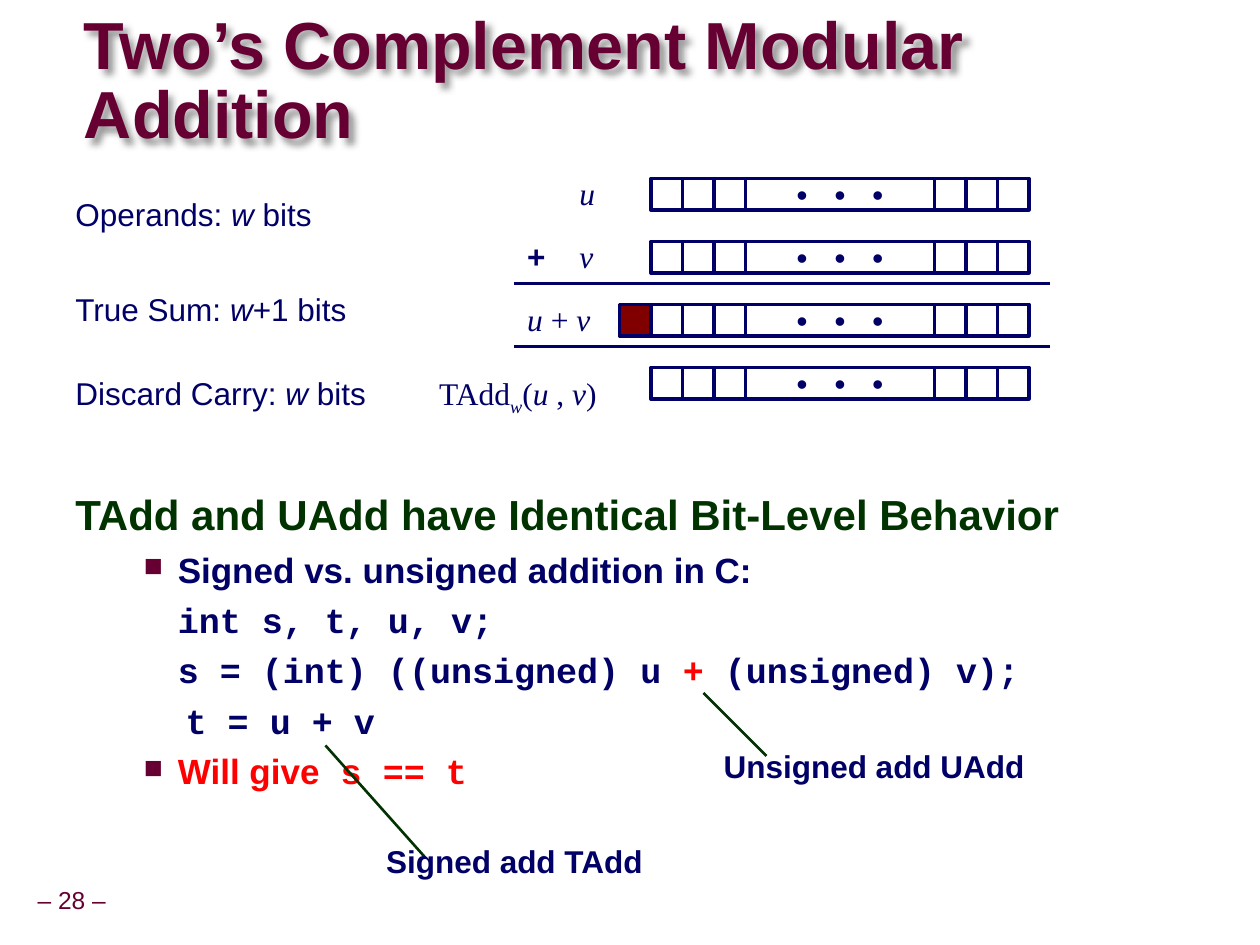
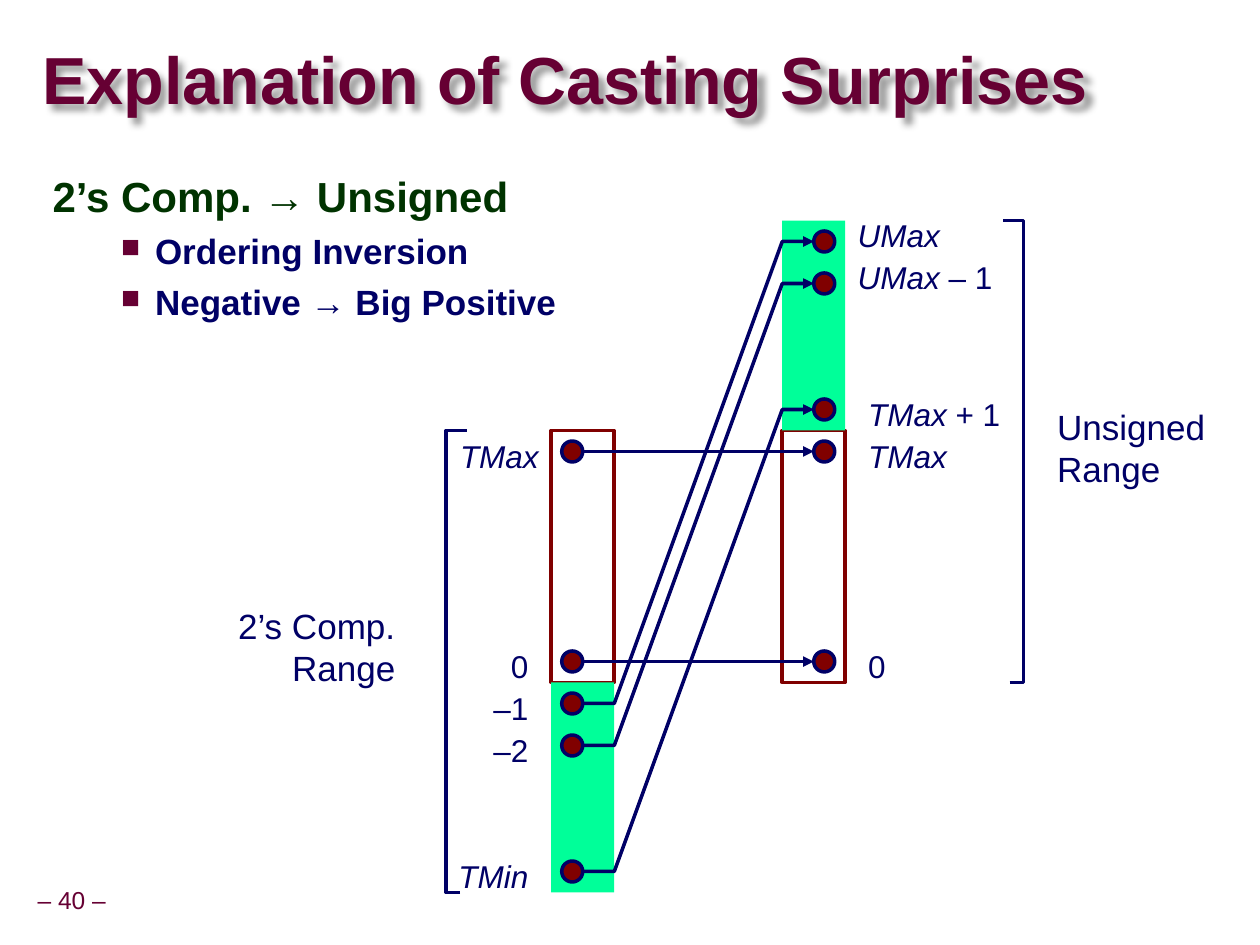
from lxml.etree import SubElement
from pptx import Presentation
from pptx.dml.color import RGBColor
from pptx.enum.shapes import MSO_CONNECTOR as Link, MSO_SHAPE as Shape
from pptx.enum.text import MSO_ANCHOR as Anchor, MSO_AUTO_SIZE as AutoSize, PP_ALIGN as Align
from pptx.oxml.ns import qn
from pptx.util import Pt

COLORS = {
    "maroon": "660033", "green": "003300", "navy": "000066", "red": "FF0000",
    "carry": "800000", "mint": "00FF99", "white": "FFFFFF", "black": "000000",
}
SANS, MONO, SERIF = "Arial", "Courier New", "Times New Roman"

ADDITION_TITLE = ("Two’s Complement Modular Addition", (48, 25.5, 588, 44))
ADDITION_BODY = (36, 278, 624, 176)
ADDITION_HEADING = "TAdd and UAdd have Identical Bit-Level Behavior"
ADDITION_LINES = [
    ("bullet", [("Signed vs. unsigned addition in C:", SANS, "navy")]),
    ("code", [("int s, t, u, v;", MONO, "navy")]),
    ("code", [("s = (int) ((unsigned) u ", MONO, "navy"), ("+", MONO, "red"),
              (" (unsigned) v);", MONO, "navy")]),
    ("hanging", [("  t = u + v", MONO, "navy")]),
    ("bullet", [("Will give", SANS, "red"), (" s == t", MONO, "red")]),
]
BIT_ROW_TOPS = [102, 138, 174, 210]
SUM_ROW = 2
RULE_TOPS = [162, 198]
STEP_LABELS = [
    ("Operands: _w_ bits", (36, 108, 150, 29)),
    ("True Sum: _w_+1 bits", (36, 162, 170, 29)),
    ("Discard Carry: _w_ bits", (36, 210, 192, 29)),
]
OPERAND_LABELS = [
    ("_u_", (324, 96, 24, 29), Align.LEFT),
    ("_v_", (324, 132, 22, 29), Align.LEFT),
    ("_u _+ _v_", (284, 168, 60.5, 29), Align.RIGHT),
]
CALLOUTS = [
    ("Unsigned add UAdd", (402, 426, 195, 27), (402, 396), (438, 432)),
    ("Signed add TAdd", (212.5, 480, 163, 27), (186, 426), (243, 490)),
]

CASTING_TITLE = ("Explanation of Casting Surprises", (24, 25.5, 626, 45))
CASTING_BODY = (23, 96, 328, 135)
CASTING_HEADING = "2’s Comp. → Unsigned"
CASTING_LINES = [
    ("bullet", [("Ordering Inversion", SANS, "navy")]),
    ("bullet", [("Negative → Big Positive", SANS, "navy")]),
]
SIGNED_LEFT, UNSIGNED_LEFT, COLUMN_WIDTH = 315, 447, 36
SIGNED_DOT, UNSIGNED_DOT, DOT_RADIUS = 327, 471, 6
SIGNED_VALUES = [
    ("_TMax_", 258, 315), ("0", 378, 309), ("–1", 402, 309),
    ("–2", 426, 309), ("_TMin_", 498, 309),
]
UNSIGNED_VALUES = [
    ("_UMax_", 138, 483, 18), ("_UMax_ – 1", 162, 483, 18),
    ("_TMax_ + 1", 234, 489, 12), ("_TMax_", 258, 489, 12), ("0", 378, 489, 12),
]
CASTS = [(258, 258), (378, 378), (402, 138), (426, 162), (498, 234)]
BRACKETS = [
    [(263, 510), (255, 510), (255, 246), (267, 246)],
    [(577, 390), (585, 390), (585, 126), (573, 126)],
]
RANGE_LABELS = [
    (["2’s Comp.", "Range"], (129, 342, 104, 55), Align.RIGHT),
    (["Unsigned", "Range"], (597, 228, 99, 55), Align.LEFT),
]


def rgb(name):
    return RGBColor.from_string(COLORS[name])


def points(values):
    return [Pt(value) for value in values]


def style(span, size, color, font=SANS, bold=False, italic=False):
    span.font.name = font
    span.font.size = Pt(size)
    span.font.bold = bold
    span.font.italic = italic
    span.font.color.rgb = rgb(color)


def add_span(para, text, *look, **extras):
    span = para.add_run()
    span.text = text
    style(span, *look, **extras)


def add_label(page, lines, area, size=18, color="navy", font=SANS, align=Align.LEFT,
              bold=False, wrap=False, spacing=None):
    box = page.shapes.add_textbox(*points(area))
    frame = box.text_frame
    frame.word_wrap = wrap
    for number, line in enumerate(lines):
        para = frame.add_paragraph() if number else frame.paragraphs[0]
        para.alignment = align
        para.line_spacing = spacing
        for index, text in enumerate(line.split("_")):
            if text:
                add_span(para, text, size, color, font, bold, italic=index % 2 == 1)
    return box


def add_block(page, kind, area, fill, line="navy"):
    block = page.shapes.add_shape(kind, *points(area))
    block.shadow.inherit = False
    block.fill.solid()
    block.fill.fore_color.rgb = rgb(fill)
    if line:
        block.line.color.rgb = rgb(line)
        block.line.width = Pt(2)
    else:
        block.line.fill.background()
    return block


def add_arrowhead(shape):
    SubElement(shape.line._get_or_add_ln(), qn("a:tailEnd"), type="triangle")


def add_line(page, start, end, color="navy", width=2):
    line = page.shapes.add_connector(Link.STRAIGHT, *points(start + end))
    line.line.color.rgb = rgb(color)
    line.line.width = Pt(width)
    SubElement(line._element.spPr, qn("a:effectLst"))
    return line


def add_path(page, corners):
    builder = page.shapes.build_freeform(*corners[0], scale=Pt(1))
    builder.add_line_segments(corners[1:], close=False)
    outline = builder.convert_to_shape()
    outline.shadow.inherit = False
    outline.fill.background()
    outline.line.color.rgb = rgb("navy")
    outline.line.width = Pt(2)
    return outline


def add_page(deck, title, number):
    page = deck.slides.add_slide(deck.slide_layouts[5])
    text, area = title
    heading = page.shapes.title
    heading.left, heading.top, heading.width, heading.height = points(area)
    frame = heading.text_frame
    frame.text = text
    frame.auto_size = AutoSize.NONE
    frame.word_wrap = True
    frame.vertical_anchor = Anchor.MIDDLE
    frame.margin_left = frame.margin_right = frame.margin_top = frame.margin_bottom = 0
    para = frame.paragraphs[0]
    para.alignment = Align.LEFT
    para.line_spacing = 0.87
    style(para.runs[0], 38, "maroon", bold=True)
    effects = SubElement(heading._element.spPr, qn("a:effectLst"))
    shadow = SubElement(effects, qn("a:outerShdw"), blurRad=str(Pt(4)), dist=str(Pt(4)),
                        dir="2700000", algn="tl", rotWithShape="0")
    tint = SubElement(shadow, qn("a:srgbClr"), val=COLORS["black"])
    SubElement(tint, qn("a:alpha"), val="40000")

    footer = add_label(page, [f"– {number} –"], (17, 504, 48, 22), 14, "maroon",
                       align=Align.CENTER, spacing=0.9).text_frame
    footer.vertical_anchor = Anchor.MIDDLE
    footer.margin_left = footer.margin_right = Pt(3.6)
    return page


def add_body(page, area, heading, lines):
    frame = add_label(page, [heading], area, 24, "green", bold=True, wrap=True,
                      spacing=0.95).text_frame
    for kind, spans in lines:
        para = frame.add_paragraph()
        para.line_spacing = 0.95
        para.space_before = Pt(6)
        props = para._p.get_or_add_pPr()
        props.set("marL", str(Pt(58.5)))
        props.set("indent", str(Pt(0 if kind == "code" else -19.5)))
        if kind == "bullet":
            tint = SubElement(props, qn("a:buClr"))
            SubElement(tint, qn("a:srgbClr"), val=COLORS["maroon"])
            SubElement(props, qn("a:buSzPct"), val="75000")
            SubElement(props, qn("a:buChar"), char="■")
        for text, font, color in spans:
            add_span(para, text, 20, color, font, bold=True)


def add_bit_row(page, top, bit=18, left=372, side_bits=3, middle=108):
    right = left + side_bits * bit + middle
    for start in (left, right):
        for index in range(side_bits):
            add_block(page, Shape.RECTANGLE, (start + index * bit, top, bit, bit), "white")
    dots = add_block(page, Shape.RECTANGLE, (right - middle, top, middle, bit), "white")
    frame = dots.text_frame
    frame.text = "• • •"
    frame.word_wrap = False
    frame.vertical_anchor = Anchor.MIDDLE
    frame.paragraphs[0].alignment = Align.CENTER
    style(frame.paragraphs[0].runs[0], 18, "navy", MONO)


def build_addition(deck):
    page = add_page(deck, ADDITION_TITLE, 28)
    add_body(page, ADDITION_BODY, ADDITION_HEADING, ADDITION_LINES)
    for top in BIT_ROW_TOPS:
        add_bit_row(page, top)
    add_block(page, Shape.RECTANGLE, (354, BIT_ROW_TOPS[SUM_ROW], 18, 18), "carry")
    for top in RULE_TOPS:
        add_line(page, (294, top), (600, top))
    for text, area in STEP_LABELS:
        add_label(page, [text], area)
    for text, area, align in OPERAND_LABELS:
        add_label(page, [text], area, font=SERIF, align=align)
    add_label(page, ["+"], (294, 132, 25, 29), font=MONO, bold=True)
    result = add_label(page, ["TAdd_w_(_u_ , _v_)"], (236, 210, 112, 29),
                       font=SERIF, align=Align.RIGHT)
    subscript = result.text_frame.paragraphs[0].runs[1]
    subscript._r.get_or_add_rPr().set("baseline", "-25000")
    for text, area, start, end in CALLOUTS:
        add_line(page, start, end, "green", 1.5)
        add_label(page, [text], area, bold=True, align=Align.CENTER, spacing=0.9)


def add_dot(page, x, y):
    size = 2 * DOT_RADIUS
    add_block(page, Shape.OVAL, (x - DOT_RADIUS, y - DOT_RADIUS, size, size), "carry")


def build_casting(deck):
    page = add_page(deck, CASTING_TITLE, 40)
    for left in (UNSIGNED_LEFT, SIGNED_LEFT):
        add_block(page, Shape.RECTANGLE, (left, 246, COLUMN_WIDTH, 144), "white", "carry")
    for left, top in ((SIGNED_LEFT, 390), (UNSIGNED_LEFT, 126)):
        add_block(page, Shape.RECTANGLE, (left, top, COLUMN_WIDTH, 120), "mint", None)
    for text, y, right in SIGNED_VALUES:
        add_dot(page, SIGNED_DOT, y)
        add_label(page, [text], (right - 66, y - 12, 66, 29), align=Align.RIGHT, wrap=True)
    for text, y, left, rise in UNSIGNED_VALUES:
        add_dot(page, UNSIGNED_DOT, y)
        add_label(page, [text], (left, y - rise, 100, 29), wrap=True)
    start, end = SIGNED_DOT + DOT_RADIUS, UNSIGNED_DOT - DOT_RADIUS
    for before, after in CASTS:
        if before == after:
            arrow = add_line(page, (start, before), (end, after))
        else:
            arrow = add_path(page, [(start, before), (SIGNED_LEFT + COLUMN_WIDTH, before),
                                    (UNSIGNED_LEFT, after), (end, after)])
        add_arrowhead(arrow)
    for corners in BRACKETS:
        add_path(page, corners)
    for lines, area, align in RANGE_LABELS:
        add_label(page, lines, area, 20, align=align)
    add_body(page, CASTING_BODY, CASTING_HEADING, CASTING_LINES)


def main():
    deck = Presentation()
    deck.slide_width, deck.slide_height = Pt(720), Pt(540)
    build_addition(deck)
    build_casting(deck)
    deck.save("out.pptx")


if __name__ == "__main__":
    main()
